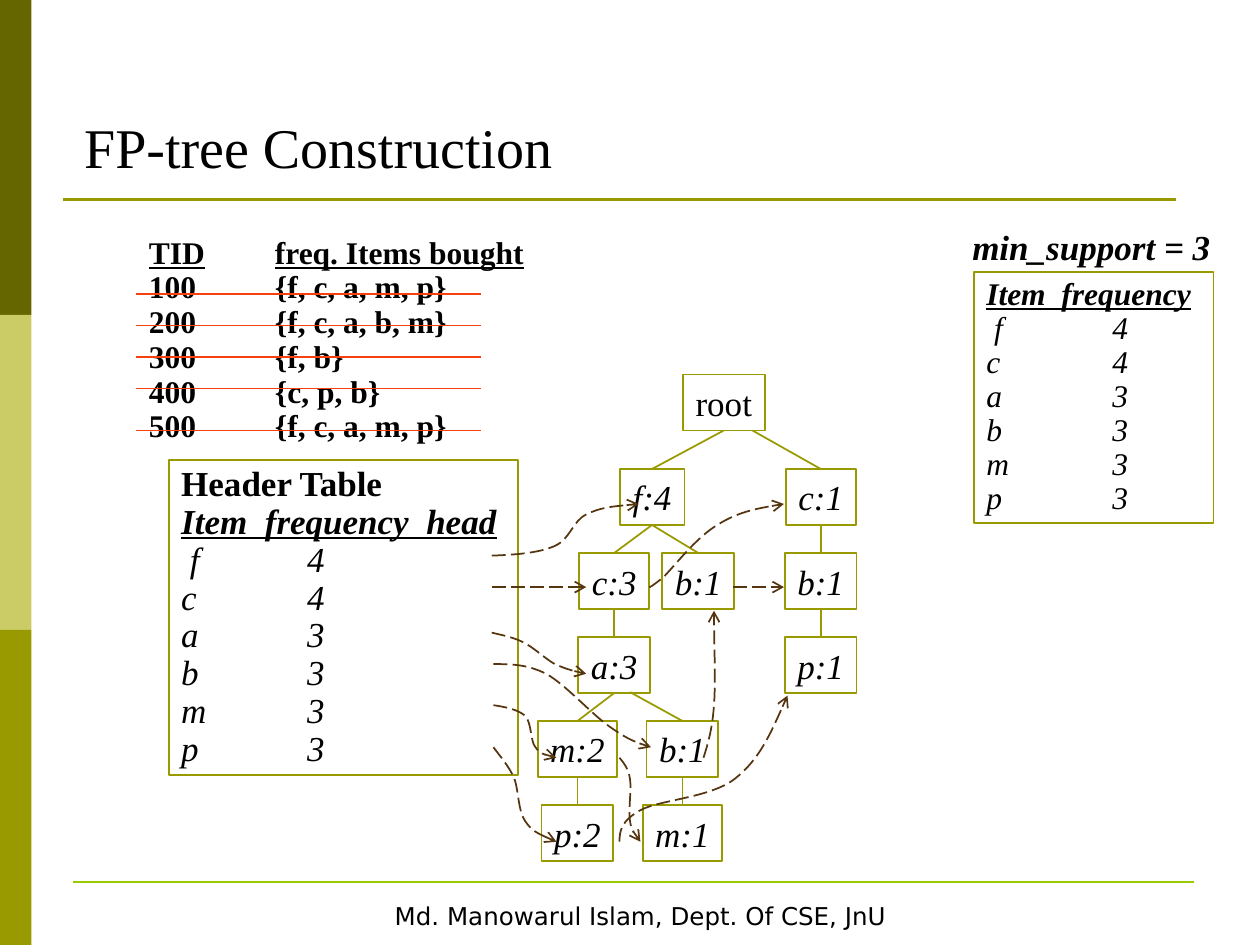
from dataclasses import dataclass

from lxml import etree
from pptx import Presentation
from pptx.dml.color import RGBColor
from pptx.enum.dml import MSO_LINE
from pptx.enum.shapes import MSO_CONNECTOR, MSO_SHAPE
from pptx.enum.text import MSO_ANCHOR, PP_ALIGN
from pptx.oxml.ns import qn
from pptx.util import Pt

RECT = MSO_SHAPE.RECTANGLE
STRAIGHT = MSO_CONNECTOR.STRAIGHT
LONG_DASH = MSO_LINE.LONG_DASH
TOP, MIDDLE = MSO_ANCHOR.TOP, MSO_ANCHOR.MIDDLE
BOTTOM = MSO_ANCHOR.BOTTOM
LEFT, CENTER = PP_ALIGN.LEFT, PP_ALIGN.CENTER
SIDE_TOP, SIDE_BOTTOM = 0, 2


@dataclass(frozen=True)
class Theme:
    dark: str = "666600"
    pale: str = "CCCC66"
    olive: str = "999900"
    green: str = "98CC00"
    strike: str = "F8400E"
    link: str = "563610"
    ink: str = "000000"
    white: str = "FFFFFF"
    serif: str = "Times New Roman"
    sans: str = "DejaVu Sans"
    title: int = 32
    large: int = 20
    body: int = 18
    footer: int = 14


class SlideBuilder:
    def __init__(self, slide, theme):
        self.s, self.t = slide, theme

    def rect(self, x, y, w, h, fill=None, line=None, weight=1):
        sp = self.s.shapes.add_shape(RECT, Pt(x), Pt(y), Pt(w), Pt(h))
        sp.shadow.inherit = False
        if fill:
            sp.fill.solid()
            sp.fill.fore_color.rgb = RGBColor.from_string(fill)
        else:
            sp.fill.background()
        if line:
            self.stroke(sp.line, line, weight)
        else:
            sp.line.fill.background()
        return sp

    def textbox(self, x, y, w, h):
        return self.s.shapes.add_textbox(Pt(x), Pt(y), Pt(w), Pt(h))

    def text(self, sp, rows, size, font=None, anchor=TOP, align=LEFT,
             wrap=True, spacing=None, before=0, hanging=0):
        """Each row is (text, style), the style being letters out of b, i, u."""
        tf = sp.text_frame
        tf.word_wrap, tf.vertical_anchor = wrap, anchor
        for i, (words, style) in enumerate(rows):
            p = tf.paragraphs[0] if i == 0 else tf.add_paragraph()
            if "\t" in words:
                self.tabs(p, hanging)
            p.alignment = align
            if spacing:
                p.line_spacing = spacing
            if i and before:
                p.space_before = Pt(before)
            r = p.add_run()
            r.text = words
            r.font.name, r.font.size = font or self.t.serif, Pt(size)
            r.font.bold, r.font.italic = "b" in style, "i" in style
            r.font.underline = "u" in style
            r.font.color.rgb = RGBColor.from_string(self.t.ink)

    def tabs(self, p, hanging):
        """Tab stops at every inch, with an optional hanging indent."""
        props = p._p.get_or_add_pPr()
        if hanging:
            props.set("marL", str(Pt(hanging)))
            props.set("indent", str(-Pt(hanging)))
        stops = etree.SubElement(props, qn("a:tabLst"))
        for inch in range(8):
            etree.SubElement(stops, qn("a:tab"), pos=str(Pt(72 * inch)), algn="l")

    def stroke(self, line, color, weight, arrow=False):
        line.color.rgb = RGBColor.from_string(color)
        line.width = Pt(weight)
        if arrow:
            line.dash_style = LONG_DASH
            etree.SubElement(line._get_or_add_ln(), qn("a:tailEnd"), type="arrow")

    def line(self, start, end, color, weight=1, arrow=False):
        c = self.s.shapes.add_connector(STRAIGHT, *map(Pt, start + end))
        self.stroke(c.line, color, weight, arrow)
        etree.SubElement(c.element.spPr, qn("a:effectLst"))
        return c

    def node(self, label, center, y, width, style="i"):
        sp = self.rect(center - width / 2, y, width, 32, line=self.t.olive)
        self.text(sp, [(label, style)], self.t.large, align=CENTER,
                  anchor=MIDDLE, wrap=False)
        return sp

    def edge(self, parent, child, start=None):
        """Join two nodes; a given start leaves the parent's end loose."""
        c = self.line(start or (0, 0), (0, 0), self.t.olive)
        if start is None:
            c.begin_connect(parent, SIDE_BOTTOM)
        c.end_connect(child, SIDE_TOP)

    def curve(self, points):
        """Dashed arrow: a start point, then three points per Bézier piece."""
        pts = [(Pt(x), Pt(y)) for x, y in points]
        builder = self.s.shapes.build_freeform(*pts[0])
        builder.add_line_segments(pts[1:], close=False)
        sp = builder.convert_to_shape()
        segments = list(sp.element.iter(qn("a:lnTo")))
        for i in range(0, len(segments), 3):
            bezier = etree.SubElement(segments[i].getparent(), qn("a:cubicBezTo"))
            for segment in segments[i:i + 3]:
                bezier.append(segment[0])
                segment.getparent().remove(segment)
        sp.shadow.inherit = False
        sp.fill.background()
        self.stroke(sp.line, self.t.link, 1, arrow=True)


ITEMS = [(" f\t4", "i")] + [(f"{item}\t{count}", "i") for item, count in
                            [("c", 4), ("a", 3), ("b", 3), ("m", 3), ("p", 3)]]
TRANSACTIONS = [("TID", "freq. Items bought"), ("100", "{f, c, a, m, p}"),
                ("200", "{f, c, a, b, m}"), ("300", "{f, b}"),
                ("400", "{c, p, b}"), ("500", "{f, c, a, m, p}")]
STRIKE_ROWS = [168, 186, 204, 222, 246]

# name: (label, centre, level below the root)
NODES = {
    "f": ("f:4", 372.6, 1), "c": ("c:3", 351, 2), "b": ("b:1", 399, 2),
    "a": ("a:3", 351, 3), "m": ("m:2", 330, 4), "p": ("p:2", 330, 5),
    "ab": ("b:1", 390, 4), "abm": ("m:1", 390, 5),
    "right c": ("c:1", 469, 1), "right b": ("b:1", 469, 2),
    "right p": ("p:1", 469, 3),
}
NODE_WIDTHS = {"f": 37, "c": 40, "a": 41, "b": 41, "p": 41, "m": 45}
EDGES = [("root", "f"), ("f", "c"), ("f", "b"), ("c", "a"), ("a", "m"),
         ("m", "p"), ("ab", "abm"), ("right c", "right b"),
         ("right b", "right p")]
LOOSE_EDGES = [("root", "right c", (430, 246)), ("a", "ab", (360, 395.5))]
CURVES = [
    [(281, 317.5), (294.5, 317), (308, 316), (317, 312), (326, 308), (327, 298),
     (335, 294), (343, 290), (353.5, 289), (365, 288)],
    [(371, 335.5), (371.5, 335.5), (372, 335.5), (379, 330), (385, 324),
     (398, 307), (410, 300), (421, 293), (435, 290), (448, 288)],
    [(281, 361.5), (287, 363), (293, 364), (299, 367), (305, 370), (311, 376),
     (317, 379.5), (323, 382), (329, 384), (335, 385)],
    [(282, 379.5), (291.5, 379.5), (301, 379.5), (312, 385), (323, 391),
     (338, 408), (348, 415), (358, 422), (365, 425), (372, 427)],
    [(402, 433), (404.5, 425), (407, 417), (408, 403), (409, 389), (408, 369.5),
     (408, 349)],
    [(282, 403), (289, 404), (296, 405.5), (300, 409), (304, 413), (303, 423.5),
     (306, 427), (309, 431), (313, 432), (318, 433)],
    [(354, 433), (356.5, 436), (359, 439), (360, 445), (361, 451), (359, 463),
     (360, 469), (361, 475), (363.5, 478), (366, 481)],
    [(282, 427), (286.5, 433), (291, 438), (294, 445), (296.5, 452), (296, 463),
     (300, 469), (304, 475), (311, 478), (318, 481)],
    [(354, 481), (354, 475), (355, 469), (366, 463), (377, 457), (406, 456),
     (420, 445), (434, 434), (442, 415.5), (450, 397.5)],
]


def main():
    prs = Presentation()
    prs.slide_width, prs.slide_height = Pt(720), Pt(540)
    t = Theme()
    b = SlideBuilder(prs.slides.add_slide(prs.slide_layouts[6]), t)

    # Side bands, rules, footer and title
    for i, color in enumerate([t.dark, t.pale, t.olive]):
        b.rect(0, 180 * i, 18, 180, fill=color)
    b.line((36, 114), (672, 114), t.olive, 1.5)
    b.line((42, 504), (682.5, 504), t.green, 1.5)
    b.text(b.rect(36, 511, 660, 25, t.white, t.white, 2),
           [("Md. Manowarul Islam, Dept. Of CSE, JnU", "")], t.footer, t.sans,
           anchor=MIDDLE, align=CENTER)
    b.text(b.textbox(41, 46, 578, 60), [("FP-tree Construction", "")], t.title,
           anchor=BOTTOM)

    # Transactions, each struck through once it is in the tree
    rows = [("\t\t".join(row), "b" if i else "bu")
            for i, row in enumerate(TRANSACTIONS)]
    b.text(b.textbox(78, 140.5, 276, 115), rows, t.body, spacing=0.4,
           before=11.2, hanging=36)
    for y in STRIKE_ROWS:
        b.line((275, y), (78, y), t.strike, 0.75)

    # Item frequencies
    b.text(b.textbox(548.5, 134, 165, 21.5), [("min_support = 3", "bi")], t.large,
           spacing=0.6)
    b.text(b.rect(556.5, 155.5, 137, 143.5, line=t.olive),
           [("Item  frequency", "biu")] + ITEMS, t.body, spacing=0.9)

    # Header table
    b.text(b.rect(96.5, 263, 199.5, 180, line=t.olive),
           [("Header Table", "b"), ("Item  frequency  head", "biu")] + ITEMS,
           t.large, spacing=0.9)

    # Tree
    nodes = {"root": b.node("root", 413.6, 214, 47, style="")}
    for name, (label, center, level) in NODES.items():
        nodes[name] = b.node(label, center, 220 + 48 * level, NODE_WIDTHS[label[0]])
    for parent, child in EDGES:
        b.edge(nodes[parent], nodes[child])
    for parent, child, start in LOOSE_EDGES:
        b.edge(nodes[parent], nodes[child], start)

    # Node links
    for points in CURVES:
        b.curve(points)
    for x1, x2 in [(281, 335), (419, 448)]:
        b.line((x1, 335.5), (x2, 335.5), t.link, arrow=True)

    prs.save("out.pptx")


if __name__ == "__main__":
    main()
